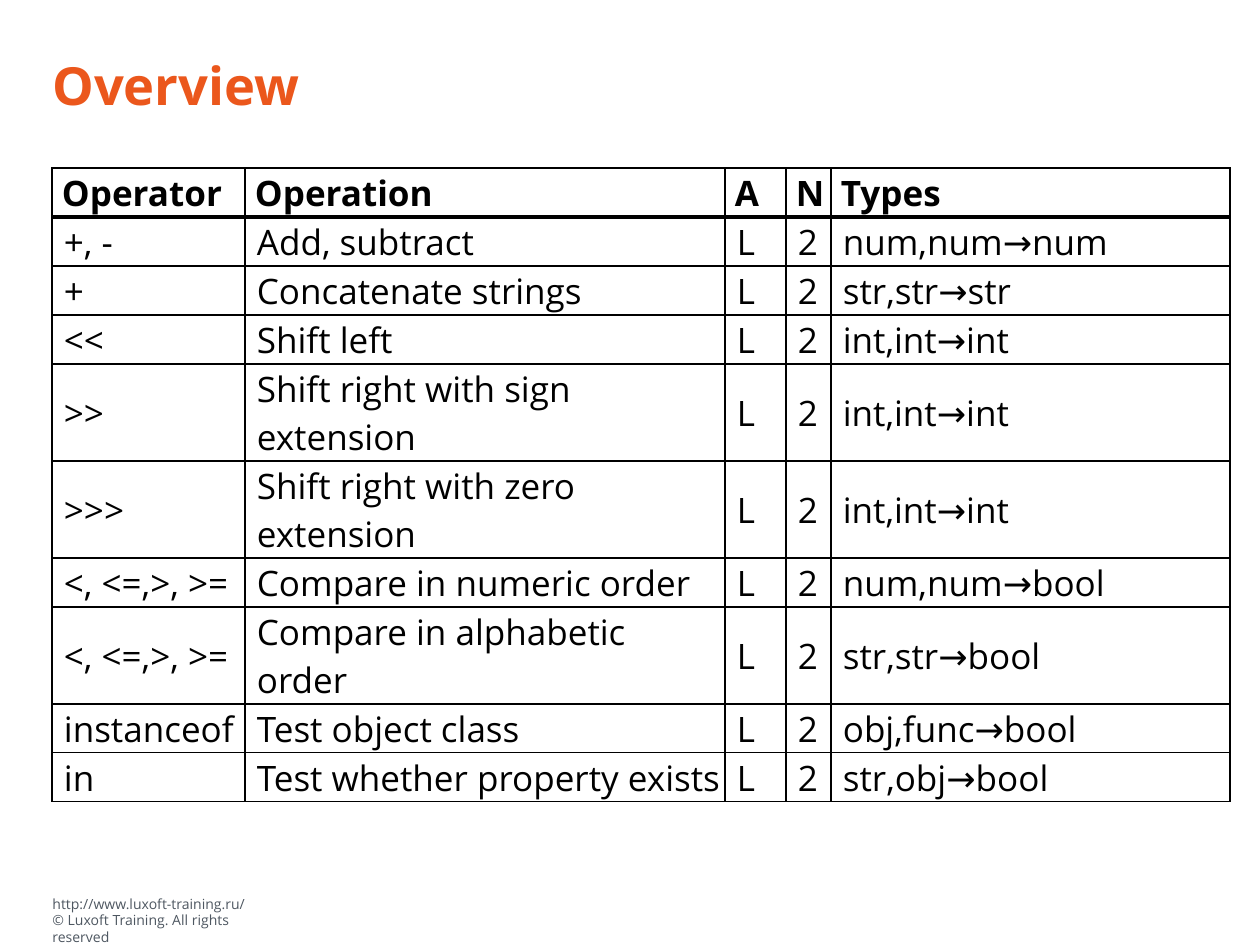
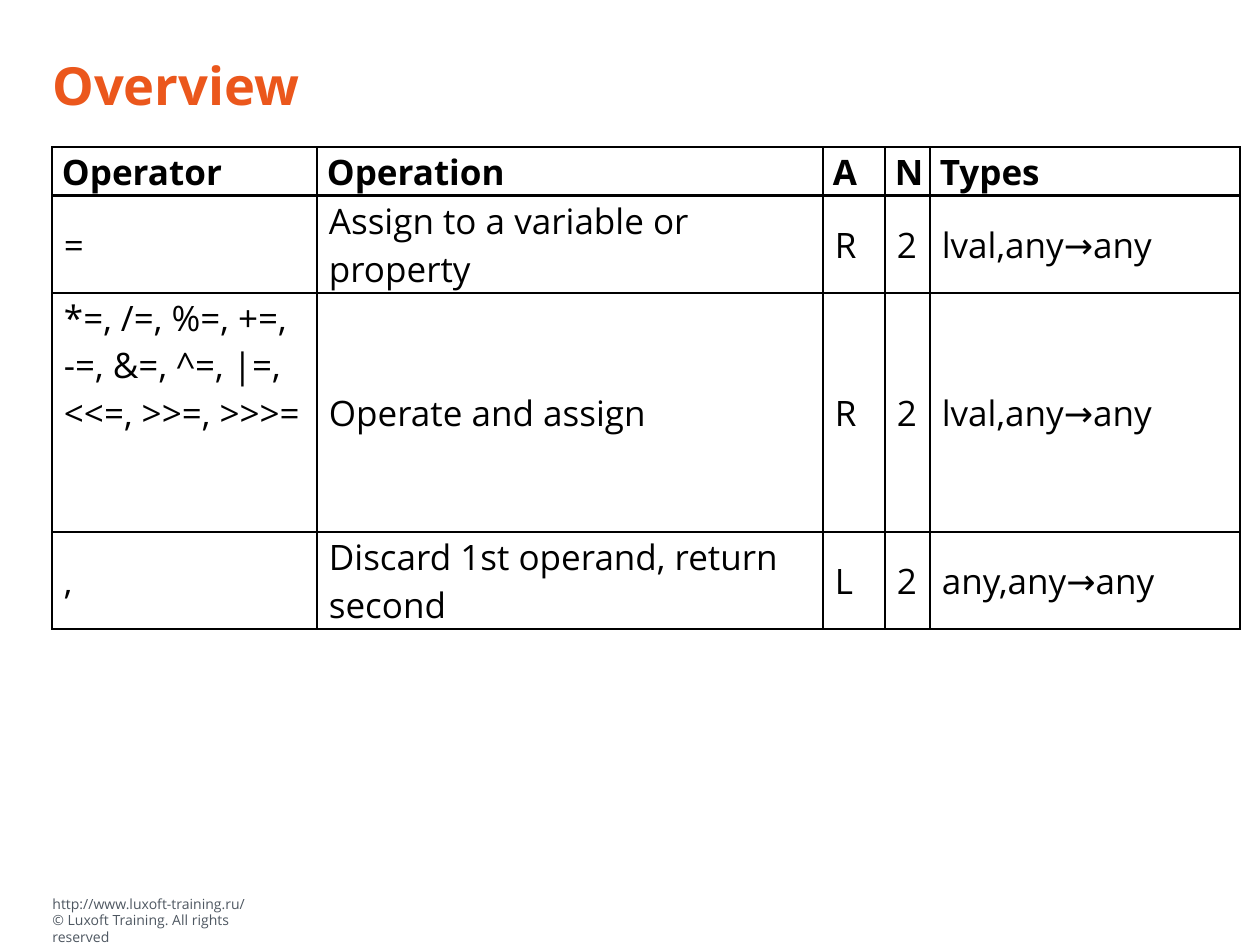
from lxml import etree
from pptx import Presentation
from pptx.dml.color import RGBColor
from pptx.enum.text import MSO_ANCHOR
from pptx.oxml.ns import qn
from pptx.util import Pt

PX = 914400 // 126
TOP, MIDDLE = MSO_ANCHOR.TOP, MSO_ANCHOR.MIDDLE
FONT = "Open Sans"
ORANGE, GRAY, BLACK = "EB571C", "4E5761", "000000"
HEAD = ["Operator", "Operation", "A", "N", "Types"]
FOOTER = "http://www.luxoft-training.ru/\n© Luxoft Training. All rights reserved"
ONE, TWO, FIVE = 49, 97, 239

BASIC = [
    ["+, -", "Add, subtract", "L", "2", "num,num→num"],
    ["+", "Concatenate strings", "L", "2", "str,str→str"],
    ["<<", "Shift left", "L", "2", "int,int→int"],
    [">>", "Shift right with sign extension", "L", "2", "int,int→int"],
    [">>>", "Shift right with zero extension", "L", "2", "int,int→int"],
    ["<, <=,>, >=", "Compare in numeric order", "L", "2", "num,num→bool"],
    ["<, <=,>, >=", "Compare in alphabetic order", "L", "2", "str,str→bool"],
    ["instanceof", "Test object class", "L", "2", "obj,func→bool"],
    ["in", "Test whether property exists", "L", "2", "str,obj→bool"],
]
ASSIGN = [
    ["=", "Assign to a variable or property", "R", "2", "lval,any→any"],
    ["*=, /=, %=, +=,\n-=, &=, ^=, |=,\n<<=, >>=, >>>=",
     "Operate and assign", "R", "2", "lval,any→any"],
    [",", "Discard 1st operand, return second", "L", "2", "any,any→any"],
]


def color(code):
    """Turn a hex string into a colour."""
    return RGBColor.from_string(code)


def px(*sizes):
    """Turn px lengths into EMU."""
    return [size * PX for size in sizes]


def write(frame, text, size, tint, bold=False):
    """Fill a text frame with one paragraph per line."""
    for i, line in enumerate(text.split("\n")):
        para = frame.add_paragraph() if i else frame.paragraphs[0]
        run = para.add_run()
        run.text = line
        run.font.name = FONT
        run.font.size = Pt(size)
        run.font.bold = bold
        run.font.color.rgb = color(tint)


def label(slide, area, text, size, tint, bold=False, anchor=TOP):
    """Add a wrapping text box."""
    frame = slide.shapes.add_textbox(*px(*area)).text_frame
    frame.word_wrap = True
    frame.vertical_anchor = anchor
    write(frame, text, size, tint, bold)


def edge(cell, side, width):
    """Draw one black border of a cell."""
    props = cell._tc.get_or_add_tcPr()
    line = etree.SubElement(props, qn("a:ln" + side), w=str(Pt(width)))
    fill = etree.SubElement(line, qn("a:solidFill"))
    etree.SubElement(fill, qn("a:srgbClr"), val=BLACK)


def fill_cell(cell, text, head):
    """Style and fill one table cell."""
    for side in "LRTB":
        edge(cell, side, 2 if head and side == "B" else 1)
    cell.fill.background()
    cell.margin_left, cell.margin_right, cell.margin_top, cell.margin_bottom = px(
        10 if head else 12, 1, 1, 0)
    cell.vertical_anchor = TOP if "\n" in text else MIDDLE
    write(cell.text_frame, text, 20, BLACK, head)


def add_grid(slide, top, widths, body, tall):
    """Add an operator table; tall maps row numbers to heights."""
    rows = [HEAD] + body
    heights = [tall.get(i, ONE) for i in range(len(rows))]
    area = px(52, top, sum(widths), sum(heights))
    table = slide.shapes.add_table(len(rows), len(HEAD), *area).table
    table.first_row = table.horz_banding = False
    for col, width in zip(table.columns, px(*widths)):
        col.width = width
    for row, height in zip(table.rows, px(*heights)):
        row.height = height
    for i, texts in enumerate(rows):
        for j, text in enumerate(texts):
            fill_cell(table.cell(i, j), text, i == 0)


def add_page(deck, top, widths, body, tall):
    """Add a slide with footer, title and table."""
    slide = deck.slides.add_slide(deck.slide_layouts[6])
    label(slide, (40, 889, 256, 47), FOOTER, 8, GRAY)
    label(slide, (40, 50, 1184, 69), "Overview", 30, ORANGE, True, MIDDLE)
    add_grid(slide, top, widths, body, tall)


def main():
    """Build the deck."""
    deck = Presentation()
    deck.slide_width, deck.slide_height = px(1260, 945)
    add_page(deck, 168, [193, 480, 61, 45, 399], BASIC, {4: TWO, 5: TWO, 7: TWO})
    add_page(deck, 147, [265, 506, 62, 45, 310], ASSIGN, {1: TWO, 2: FIVE, 3: TWO})
    deck.save("out.pptx")


if __name__ == "__main__":
    main()
